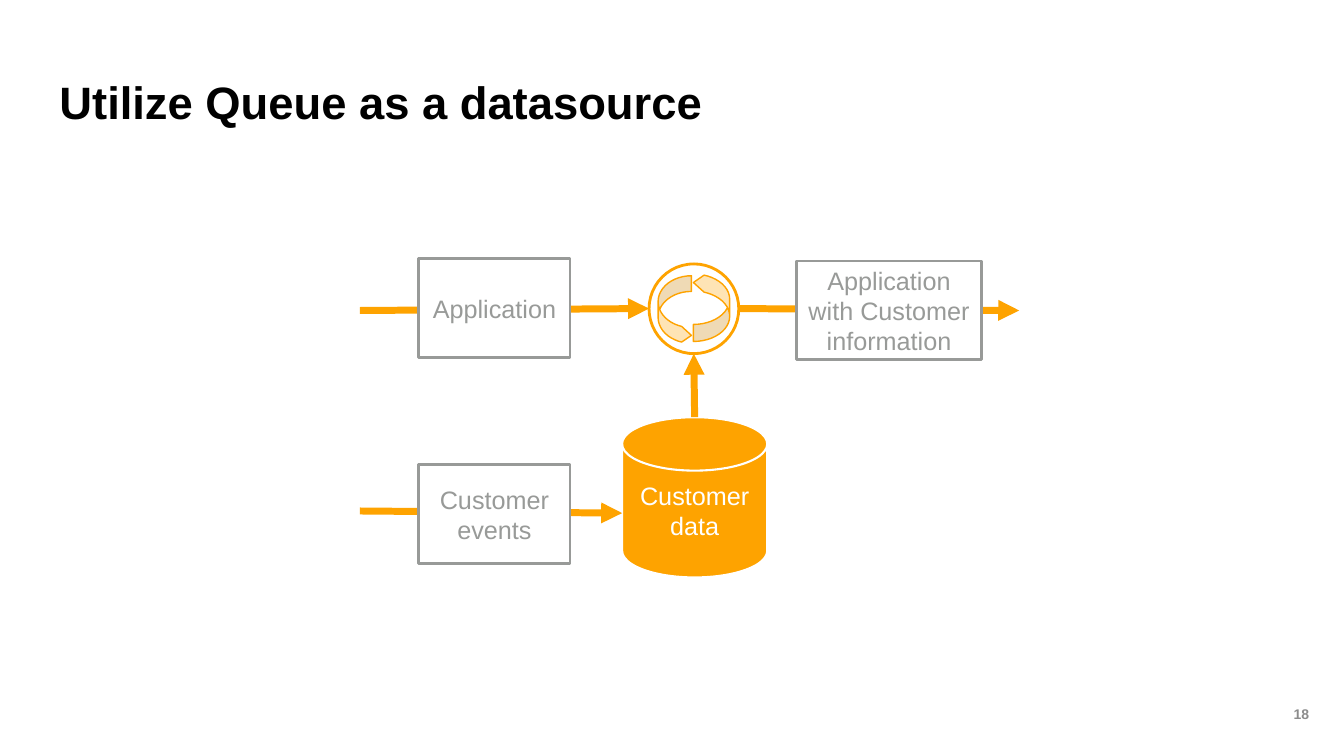
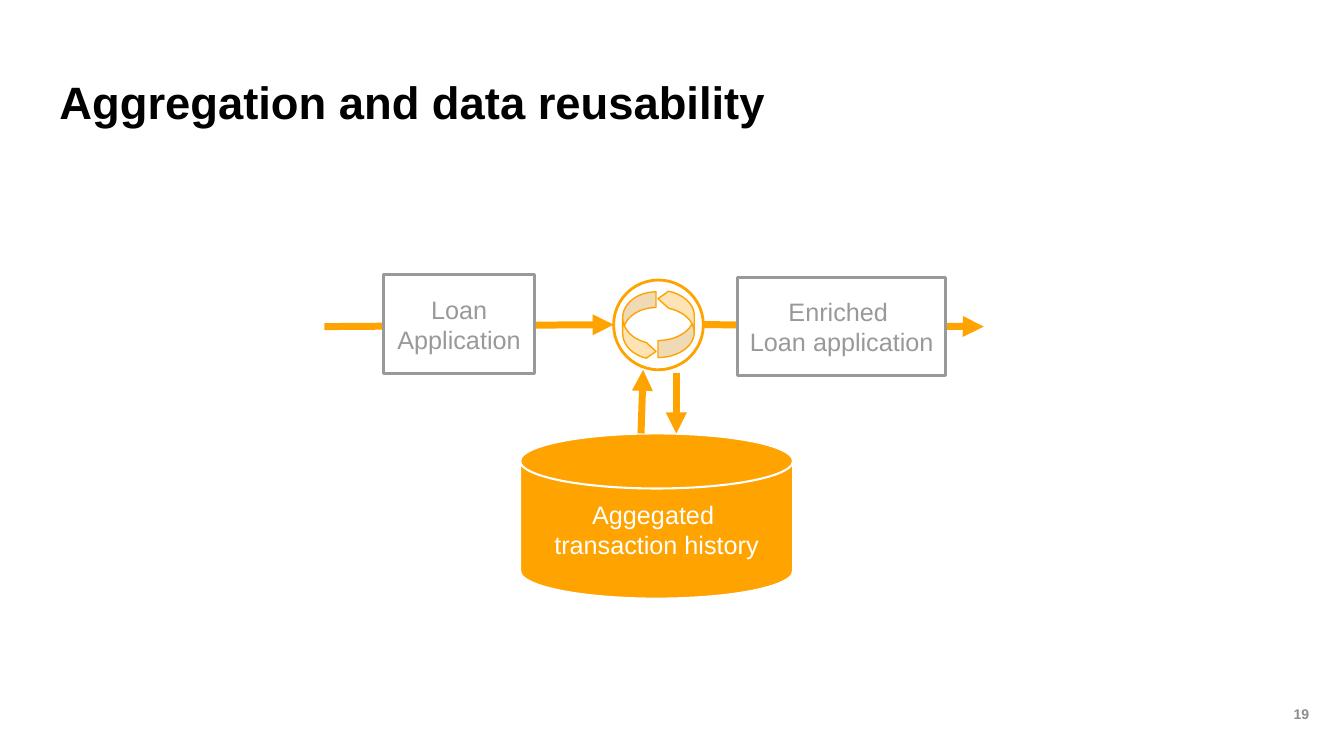
from lxml import etree
from pptx import Presentation
from pptx.dml.color import RGBColor
from pptx.enum import shapes, text
from pptx.oxml import ns
from pptx.util import Pt

ORANGE = RGBColor(0xFE, 0xA3, 0x00)
GREY = RGBColor(0x98, 0x9A, 0x98)
NUMBER_GREY = RGBColor(0x8C, 0x8C, 0x8C)
WHITE = RGBColor(0xFF, 0xFF, 0xFF)
BLACK = RGBColor(0x00, 0x00, 0x00)
SHAPE = shapes.MSO_SHAPE
ANCHOR = text.MSO_ANCHOR
ALIGN = text.PP_ALIGN


class Deck:
    font = "Arial"

    def __init__(self):
        self.prs = Presentation()
        self.prs.slide_width, self.prs.slide_height = Pt(960), Pt(540)
        self.slide = None

    def new_slide(self, title, number):
        self.slide = self.prs.slides.add_slide(self.prs.slide_layouts[6])
        self.label(899.3, 479.5, 60.5, 60.5, str(number), 10, NUMBER_GREY,
                   ANCHOR.MIDDLE, ALIGN.CENTER)
        heading = self.label(42.5, 50.4, 856.8, 45.4, title, 32.4, BLACK,
                             ANCHOR.BOTTOM, ALIGN.LEFT)
        heading.margin_left = 0
        heading.paragraphs[0].line_spacing = 0.9

    def set_words(self, frame, words, size, color, anchor, align, bold=False):
        frame.text = words
        frame.word_wrap = True
        frame.vertical_anchor = anchor
        for paragraph in frame.paragraphs:
            paragraph.alignment = align
            font = paragraph.font
            font.name, font.size, font.bold = self.font, Pt(size), bold
            font.color.rgb = color

    def label(self, x, y, w, h, words, size, color, anchor, align):
        frame = self.slide.shapes.add_textbox(Pt(x), Pt(y), Pt(w), Pt(h)).text_frame
        self.set_words(frame, words, size, color, anchor, align, bold=True)
        return frame

    def shape(self, kind, x, y, w, h, fill, line, width):
        item = self.slide.shapes.add_shape(kind, Pt(x), Pt(y), Pt(w), Pt(h))
        item.shadow.inherit = False
        if fill is None:
            item.fill.background()
        else:
            item.fill.solid()
            item.fill.fore_color.rgb = fill
        item.line.color.rgb = line
        item.line.width = Pt(width)
        return item

    def box(self, x, y, w, words):
        item = self.shape(SHAPE.RECTANGLE, x, y, w, 70.5, WHITE, GREY, 2)
        self.set_words(item.text_frame, words, 18, GREY, ANCHOR.MIDDLE, ALIGN.CENTER)

    def store(self, x, y, w, h, words):
        item = self.shape(SHAPE.FLOWCHART_MAGNETIC_DISK, x, y, w, h, ORANGE, WHITE, 1.5)
        self.set_words(item.text_frame, words, 18, WHITE, ANCHOR.MIDDLE, ALIGN.CENTER)

    def arrow(self, x1, y1, x2, y2):
        line = self.slide.shapes.add_connector(
            shapes.MSO_CONNECTOR.STRAIGHT, Pt(x1), Pt(y1), Pt(x2), Pt(y2))
        line.line.color.rgb = ORANGE
        line.line.width = Pt(5)
        properties = line.element.spPr
        etree.SubElement(properties.find(ns.qn("a:ln")), ns.qn("a:tailEnd"), type="triangle")
        etree.SubElement(properties, ns.qn("a:effectLst"))

    def cycle(self, x, y):
        for dx, dy, w, turn in ((6.5, 8.5, 23.8, 0), (31.7, 7.2, 25.9, 180)):
            half = self.shape(SHAPE.CURVED_RIGHT_ARROW, x + dx, y + dy, w, 48.2,
                              ORANGE, ORANGE, 1)
            half.rotation = turn
            for index, value in enumerate((0.47, 0.47, 0.294)):
                half.adjustments[index] = value
            color = half.element.spPr.find(ns.qn("a:solidFill"))[0]
            etree.SubElement(color, ns.qn("a:alpha"), val="29000")
        self.shape(SHAPE.OVAL, x, y, 64.1, 64.1, None, ORANGE, 2)

    def stream(self, x, y, source, result, result_dx, result_width):
        self.cycle(x + 206.6, y - 33.3)
        self.arrow(x + 270.7, y - 1.4, x + 471, y)
        self.arrow(x, y, x + 206.6, y - 1.4)
        self.box(x + 42.2, y - 37, 108, source)
        self.box(x + result_dx, y - 35.3, result_width, result)


def main():
    deck = Deck()

    deck.new_slide("Utilize Queue as a datasource", 18)
    deck.stream(257, 221.8, "Application", "Application with Customer information",
                311.8, 132.5)
    deck.store(444.4, 298, 103.7, 114.5, "Customer data")
    deck.arrow(496.2, 298, 495.6, 252.7)
    deck.arrow(257, 365, 444.4, 366.5)
    deck.box(299.2, 331.9, 108, "Customer events")

    deck.new_slide("Aggregation and data reusability", 19)
    deck.stream(231.7, 233.3, "Loan Application", "Enriched \nLoan application",
                295.4, 148.3)
    deck.store(371.5, 309.6, 195, 118, "Aggegated \ntransaction history")
    deck.arrow(457.9, 309.6, 459.4, 264.2)
    deck.arrow(483.1, 266.4, 483.1, 309.6)

    deck.prs.save("out.pptx")


if __name__ == "__main__":
    main()
